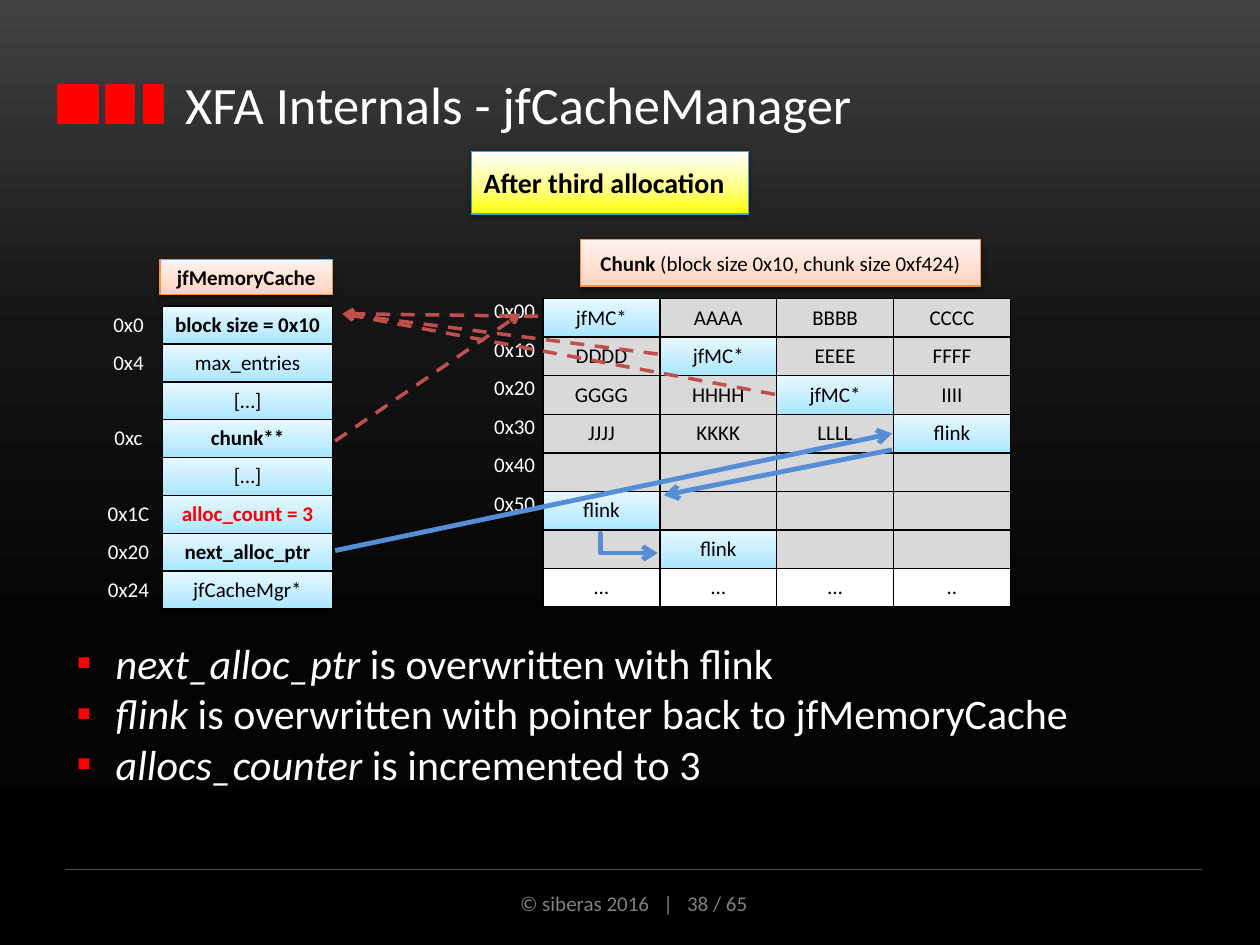
from lxml.etree import SubElement
from pptx import Presentation
from pptx.dml.color import RGBColor
from pptx.enum.dml import MSO_LINE
from pptx.enum.shapes import MSO_CONNECTOR, MSO_SHAPE
from pptx.enum.text import MSO_ANCHOR, PP_ALIGN
from pptx.oxml.ns import qn
from pptx.util import Pt

PX = 9144
FONT = "Calibri"
HEX = {
    "white": "FFFFFF", "black": "000000", "red": "FF0000", "grey": "D9D9D9",
    "foot": "808080", "rule": "4D4D4D", "blue": "558ED5", "brick": "C0504D",
    "orange": "F69240", "teal": "46AAC5",
}
FADES = {
    "night": [(0, "424242"), (35, "141414"), (67, "040404"), (100, "000000")],
    "sky": [(0, "A7E6FF"), (35, "C1EDFF"), (100, "E7F8FF")],
    "peach": [(0, "FFD2BD"), (35, "FFDED0"), (100, "FFF2ED")],
    "lemon": [(0, "FFFF00"), (39, "FFFF80"), (100, "FFFFFF")],
}
CACHE = [
    ("0x0", "block size = 0x10"), ("0x4", "max_entries"), ("", "[…]"),
    ("0xc", "chunk**"), ("", "[…]"), ("0x1C", "alloc_count = 3"),
    ("0x20", "next_alloc_ptr"), ("0x24", "jfCacheMgr*"),
]
STRONG = {"block size = 0x10", "chunk**", "alloc_count = 3", "next_alloc_ptr"}
CHUNK = [
    ("0x00", "jfMC*", "AAAA", "BBBB", "CCCC"),
    ("0x10", "DDDD", "jfMC*", "EEEE", "FFFF"),
    ("0x20", "GGGG", "HHHH", "jfMC*", "IIII"),
    ("0x30", "JJJJ", "KKKK", "LLLL", "flink"),
    ("0x40", "", "", "", ""),
    ("0x50", "flink", "", "", ""),
    ("", "", "flink", "", ""),
    ("", "…", "…", "…", ".."),
]
POINTS = [
    ("next_alloc_ptr ", "is overwritten with flink"),
    ("flink ", "is overwritten with pointer back to jfMemoryCache"),
    ("allocs_counter ", "is incremented to 3"),
]


def emu(*nums):
    """Turn px into EMU."""
    return [round(n * PX) for n in nums]


def tint(name):
    """Look up a colour by name."""
    return RGBColor.from_string(HEX[name])


def style(run, size, color, bold=False, slant=False):
    """Format one run."""
    font = run.font
    font.name, font.size, font.bold, font.italic = FONT, Pt(size), bold, slant
    font.color.rgb = tint(color)


def shade(fill, root, fade, angle=270):
    """Give a fill the stops of a named fade."""
    fill.gradient()
    grad = next(root.iter(qn("a:gradFill")))
    stops = grad.find(qn("a:gsLst"))
    for old in list(stops):
        stops.remove(old)
    for pos, color in FADES[fade]:
        stop = SubElement(stops, qn("a:gs"), pos=str(pos * 1000))
        SubElement(stop, qn("a:srgbClr"), val=color)
    grad.find(qn("a:lin")).set("ang", str(angle * 60000))


def edge(cell, color=None):
    """Draw or clear all four borders of a cell."""
    props = cell._tc.get_or_add_tcPr()
    for spot, side in enumerate("LRTB"):
        line = SubElement(props, qn(f"a:ln{side}"), w="12700")
        props.insert(spot, line)
        if color:
            solid = SubElement(line, qn("a:solidFill"))
            SubElement(solid, qn("a:srgbClr"), val=HEX[color])
        else:
            SubElement(line, qn("a:noFill"))


def write(cell, text, color, bold):
    """Write centred text into a cell."""
    para = cell.text_frame.paragraphs[0]
    para.alignment = PP_ALIGN.CENTER
    if text:
        para.add_run().text = text
        style(para.runs[0], 12, color, bold)
    else:
        SubElement(para._p, qn("a:endParaRPr"), sz="1200")


def grid(slide, box, side, rows, inset, paint):
    """Place a memory table with a column of offsets on its left."""
    wide, high, count = box[2], box[3], len(rows[0])
    table = slide.shapes.add_table(len(rows), count, *emu(*box)).table
    table.first_row = table.horz_banding = False
    for spot, col in enumerate(table.columns):
        col.width = emu((wide - side) / (count - 1) if spot else side)[0]
    for row, words in zip(table.rows, rows):
        row.height = emu(high / len(rows))[0]
        for spot, (cell, text) in enumerate(zip(row.cells, words)):
            cell.margin_left = cell.margin_right = emu(inset)[0]
            cell.margin_top = cell.margin_bottom = emu(inset)[0]
            if spot:
                cell.vertical_anchor = MSO_ANCHOR.MIDDLE
                color = "red" if text.startswith("alloc_") else "black"
                write(cell, text, color, text in STRONG)
                paint(cell, text)
            else:
                write(cell, text, "white", False)
                cell.fill.background()
            edge(cell, "black" if spot else None)


def sky(cell, text):
    """Fill a cell with the blue fade."""
    shade(cell.fill, cell._tc, "sky")


def block(cell, text):
    """Fill a chunk cell by what it holds."""
    if text in ("jfMC*", "flink"):
        sky(cell, text)
    else:
        cell.fill.solid()
        cell.fill.fore_color.rgb = tint("white" if text in ("…", "..") else "grey")


def label(slide, box, fade, line, parts, size=12, align=PP_ALIGN.CENTER):
    """Place a shaded caption box; parts are (text, bold) pairs."""
    shape = slide.shapes.add_shape(MSO_SHAPE.RECTANGLE, *emu(*box))
    shade(shape.fill, shape.element, fade)
    shape.line.color.rgb, shape.line.width = tint(line), Pt(0.75)
    shape.shadow.inherit = False
    glow = SubElement(next(shape.element.iter(qn("a:effectLst"))), qn("a:outerShdw"),
                      blurRad="40000", dist="20000", dir="5400000", rotWithShape="0")
    dark = SubElement(glow, qn("a:srgbClr"), val=HEX["black"])
    SubElement(dark, qn("a:alpha"), val="38000")
    frame = shape.text_frame
    frame.word_wrap, frame.vertical_anchor = True, MSO_ANCHOR.MIDDLE
    para = frame.paragraphs[0]
    para.alignment = align
    for text, bold in parts:
        run = para.add_run()
        run.text = text
        style(run, size, "black", bold)


def link(slide, ends, color, width, head=True, dash=False, bend=None):
    """Draw a line, with an arrowhead, dashes or a bend if asked."""
    kind = MSO_CONNECTOR.STRAIGHT if bend is None else MSO_CONNECTOR.ELBOW
    wire = slide.shapes.add_connector(kind, *emu(*ends))
    wire.line.color.rgb, wire.line.width = tint(color), Pt(width)
    if dash:
        wire.line.dash_style = MSO_LINE.DASH
    if head:
        SubElement(wire.line._get_or_add_ln(), qn("a:tailEnd"), type="arrow")
    if bend is not None:
        guides = next(wire.element.iter(qn("a:avLst")))
        SubElement(guides, qn("a:gd"), name="adj1", fmla=f"val {bend}")
    SubElement(wire.element.spPr, qn("a:effectLst"))


def header(slide, box):
    """Place the title and the red bars before it."""
    left, top, wide, high = box
    for shift, width in ((0, 30), (38, 21), (68, 14)):
        bar = slide.shapes.add_shape(
            MSO_SHAPE.RECTANGLE, *emu(left + shift, top + 29, width, 29))
        bar.shadow.inherit = False
        bar.fill.solid()
        bar.fill.fore_color.rgb = bar.line.color.rgb = tint("red")
        bar.line.width = Pt(2)
    title = slide.shapes.title
    title.left, title.top, title.width, title.height = emu(left + 90, top, wide - 90, high)
    title.text_frame.text = "XFA Internals - jfCacheManager"
    title.text_frame.vertical_anchor = MSO_ANCHOR.MIDDLE
    para = title.text_frame.paragraphs[0]
    para.alignment = PP_ALIGN.LEFT
    style(para.runs[0], 30, "white")


def notes(slide, box):
    """Place the bulleted points."""
    frame = slide.shapes.add_textbox(*emu(*box)).text_frame
    frame.word_wrap = True
    for spot, words in enumerate(POINTS):
        para = frame.add_paragraph() if spot else frame.paragraphs[0]
        props = para._p.get_or_add_pPr()
        hang = emu(31)[0]
        props.set("marL", str(hang))
        props.set("indent", str(-hang))
        SubElement(SubElement(props, qn("a:buClr")), qn("a:srgbClr"), val=HEX["red"])
        SubElement(props, qn("a:buFont"), typeface=FONT)
        SubElement(props, qn("a:buChar"), char="▪")
        for text, slant in zip(words, (True, False)):
            run = para.add_run()
            run.text = text
            style(run, 24, "white", slant=slant)


def footer(slide, box):
    """Place the rule and the copyright line under it."""
    left, top, wide, high = box
    link(slide, (left, top, left + wide, top), "rule", 0.75, head=False)
    frame = slide.shapes.add_textbox(*emu(left + 285, top + 12, 332, high - 12)).text_frame
    frame.word_wrap = True
    frame.text = "© siberas 2016   |   38 / 65"
    frame.paragraphs[0].alignment = PP_ALIGN.CENTER
    style(frame.paragraphs[0].runs[0], 12, "foot")


def main():
    """Build the slide and save it."""
    deck = Presentation()
    deck.slide_width, deck.slide_height = emu(1000, 750)
    slide = deck.slides.add_slide(deck.slide_layouts[5])
    shade(slide.background.fill, slide.element, "night", 90)
    header(slide, (47, 39, 902, 87))
    footer(slide, (52, 690, 902, 42))
    grid(slide, (75, 243, 189, 240), 54, CACHE, 5, sky)
    label(slide, (127, 206, 137, 28), "peach", "orange", [("jfMemoryCache", True)])
    grid(slide, (386, 237, 416, 245), 45, CHUNK, 0, block)
    label(slide, (461, 190, 317, 37), "peach", "orange",
          [("Chunk ", True), ("(block size 0x10, chunk size 0xf424)", False)])
    notes(slide, (51, 501, 898, 131))
    for ends in ((708, 357, 527, 393), (266, 437, 708, 344)):
        link(slide, ends, "blue", 2.75)
    link(slide, (478, 423, 522, 439), "blue", 2.75, bend=-2800)
    label(slide, (374, 120, 220, 50), "lemon", "teal",
          [("After third allocation", True)], 16, PP_ALIGN.LEFT)
    link(slide, (266, 350, 413, 249), "brick", 2, dash=True)
    for start in ((427, 251), (522, 281), (615, 313)):
        link(slide, (*start, 272, 249), "brick", 2, dash=True)
    deck.save("out.pptx")


if __name__ == "__main__":
    main()
